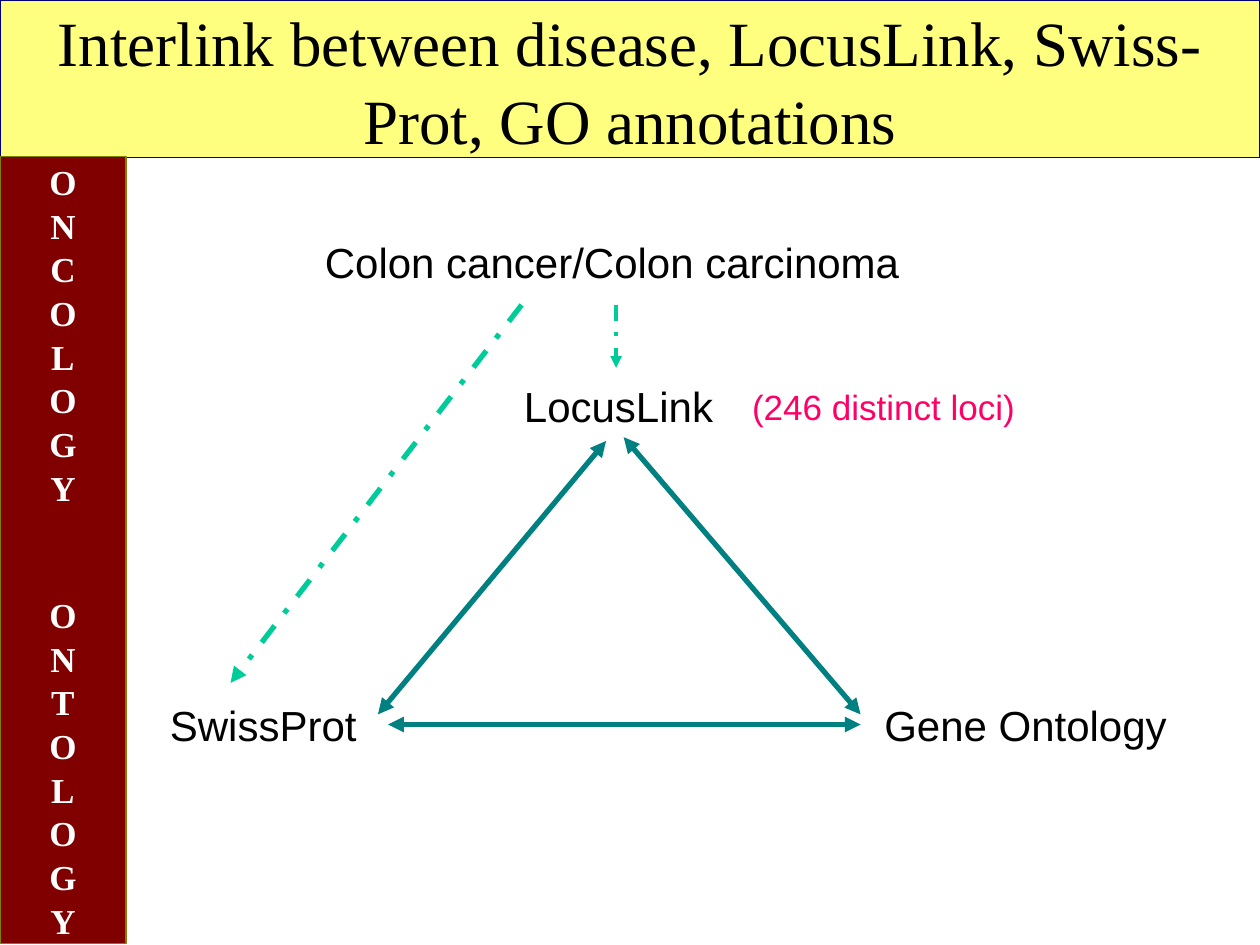
from lxml.etree import SubElement
from pptx import Presentation
from pptx.dml.color import RGBColor
from pptx.enum.dml import MSO_LINE
from pptx.enum.shapes import MSO_CONNECTOR, MSO_SHAPE
from pptx.enum.text import MSO_ANCHOR, PP_ALIGN
from pptx.oxml.ns import qn
from pptx.util import Inches, Pt

BLACK = RGBColor(0x00, 0x00, 0x00)
WHITE = RGBColor(0xFF, 0xFF, 0xFF)
YELLOW = RGBColor(0xFF, 0xFF, 0x00)
NAVY = RGBColor(0x00, 0x00, 0x80)
MAROON = RGBColor(0x80, 0x00, 0x00)
OLIVE = RGBColor(0x80, 0x80, 0x00)
TEAL = RGBColor(0x00, 0x80, 0x80)
MINT = RGBColor(0x00, 0xCC, 0x99)
PINK = RGBColor(0xFF, 0x00, 0x66)


def add_run(para, text, size, color, font, bold=False):
    """Add one styled run to a paragraph."""
    run = para.add_run()
    run.text = text
    run.font.size = Pt(size)
    run.font.name = font
    run.font.bold = bold
    run.font.color.rgb = color


def add_panel(slide, box, fill, edge):
    """Add a filled, outlined rectangle with centred text."""
    panel = slide.shapes.add_shape(MSO_SHAPE.RECTANGLE, *map(Inches, box))
    panel.shadow.inherit = False
    panel.fill.solid()
    panel.fill.fore_color.rgb = fill
    panel.line.color.rgb = edge
    panel.line.width = Pt(0.75)
    panel.text_frame.vertical_anchor = MSO_ANCHOR.MIDDLE
    return panel


def add_title(slide, box, text):
    """Place the half-transparent title banner."""
    panel = add_panel(slide, box, YELLOW, NAVY)
    color = panel.fill._xPr.find(qn("a:solidFill"))[0]
    SubElement(color, qn("a:alpha"), val="50000")
    panel.text_frame.word_wrap = True
    para = panel.text_frame.paragraphs[0]
    para.alignment = PP_ALIGN.CENTER
    para.line_spacing = 1.04
    add_run(para, text, 36, BLACK, "Times New Roman")


def add_sidebar(slide, box, words):
    """Place the side panel with words stacked letter by letter."""
    frame = add_panel(slide, box, MAROON, OLIVE).text_frame
    frame.word_wrap = False
    para = None
    for word in words:
        for index, char in enumerate(word):
            first = para is None
            para = frame.paragraphs[0] if first else frame.add_paragraph()
            para.alignment = PP_ALIGN.CENTER
            para.line_spacing = 1.04
            if index == 0 and not first:
                para.space_before = Pt(48)
            add_run(para, char, 20, WHITE, "Times New Roman", True)


def add_label(slide, box, text, size=24, color=BLACK):
    """Add a one-line label."""
    frame = slide.shapes.add_textbox(*map(Inches, box)).text_frame
    frame.word_wrap = False
    add_run(frame.paragraphs[0], text, size, color, "Arial")


def add_arrow(slide, start, end, color, width, both=False):
    """Add a solid two-way arrow or a dashed one-way arrow."""
    arrow = slide.shapes.add_connector(
        MSO_CONNECTOR.STRAIGHT, *map(Inches, start + end))
    arrow.line.color.rgb = color
    arrow.line.width = Pt(width)
    if not both:
        arrow.line.dash_style = MSO_LINE.DASH_DOT
    line = arrow.line._get_or_add_ln()
    for tag in ("a:headEnd", "a:tailEnd") if both else ("a:tailEnd",):
        SubElement(line, qn(tag), type="triangle")
    SubElement(arrow._element.spPr, qn("a:effectLst"))


def add_diagram(slide, box):
    """Place the linked databases and the disease terms."""
    left, top = box[:2]

    def spot(x, y):
        """Shift a point into the diagram box."""
        return left + x, top + y

    labels = [
        (1.48, 0.58, 4.76, "Colon cancer/Colon carcinoma"),
        (3.06, 1.72, 1.79, "LocusLink"),
        (0.25, 4.25, 1.68, "SwissProt"),
        (5.92, 4.25, 2.44, "Gene Ontology"),
    ]
    for x, y, width, text in labels:
        add_label(slide, spot(x, y) + (width, 0.5), text)
    add_label(slide, spot(4.87, 1.76) + (2.29, 0.44),
              "(246 distinct loci)", 20, PINK)

    links = [
        ((3.81, 2.25), (2, 4.42)),
        ((3.95, 2.22), (5.83, 4.42)),
        ((2.08, 4.5), (5.83, 4.5)),
    ]
    for start, end in links:
        add_arrow(slide, spot(*start), spot(*end), TEAL, 3, True)
    add_arrow(slide, spot(3.89, 1.17), spot(3.89, 1.67), MINT, 2.25)
    add_arrow(slide, spot(3.14, 1.17), spot(0.83, 4.17), MINT, 3)


def main():
    """Build and save the slide."""
    deck = Presentation()
    deck.slide_width, deck.slide_height = Inches(10), Inches(7.5)
    slide = deck.slides.add_slide(deck.slide_layouts[6])
    add_title(slide, (0, 0, 10, 1.25),
              "Interlink between disease, LocusLink, Swiss-Prot, GO annotations")
    add_sidebar(slide, (0, 1.24, 1, 6.25), ("ONCOLOGY", "ONTOLOGY"))
    add_diagram(slide, (1, 1.25, 9, 6.25))
    deck.save("out.pptx")


if __name__ == "__main__":
    main()
